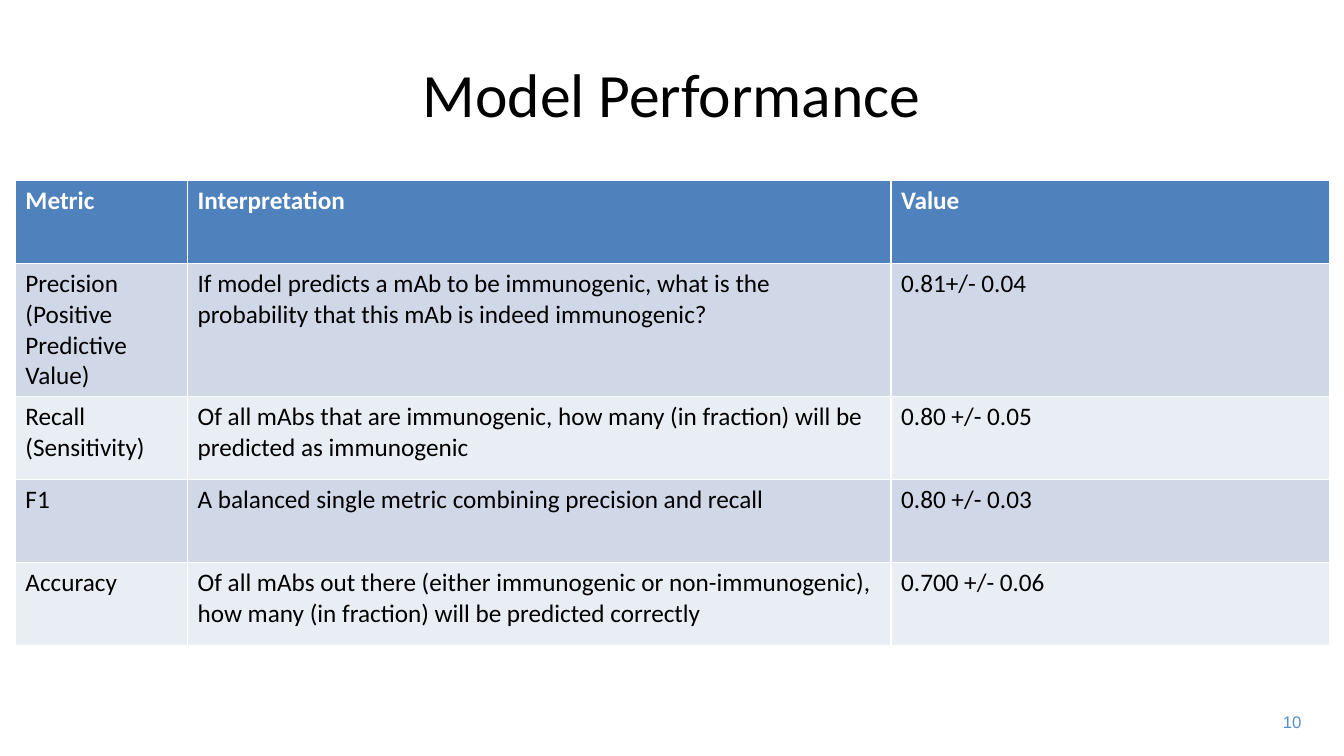
"""Build the Model Performance slide with its table of metrics."""
from pptx import Presentation
from pptx.dml.color import RGBColor
from pptx.enum.text import MSO_ANCHOR, PP_ALIGN
from pptx.util import Pt

BLACK = RGBColor(0x00, 0x00, 0x00)
WHITE = RGBColor(0xFF, 0xFF, 0xFF)
HEADER_BLUE = RGBColor(0x4F, 0x81, 0xBD)
BAND_DARK = RGBColor(0xD0, 0xD8, 0xE8)
BAND_LIGHT = RGBColor(0xE9, 0xED, 0xF4)
NUMBER_BLUE = RGBColor(0x55, 0x8E, 0xD5)

COLUMN_WIDTHS = [123, 502.5, 313.2]
ROW_HEIGHT = 59.3
ROWS = [
    ("Metric", "Interpretation", "Value"),
    ("Precision (Positive Predictive Value)",
     "If model predicts a mAb to be immunogenic, what is the probability "
     "that this mAb is indeed immunogenic?",
     "0.81+/- 0.04"),
    ("Recall (Sensitivity)",
     "Of all mAbs that are immunogenic, how many (in fraction) will be "
     "predicted as immunogenic",
     "0.80 +/- 0.05"),
    ("F1",
     "A balanced single metric combining precision and recall",
     "0.80 +/- 0.03"),
    ("Accuracy",
     "Of all mAbs out there (either immunogenic or non-immunogenic), "
     "how many (in fraction) will be predicted correctly",
     "0.700 +/- 0.06"),
]


def write(text_frame, text, size, color, font_name="Calibri", bold=False):
    text_frame.text = text
    font = text_frame.paragraphs[0].runs[0].font
    font.name = font_name
    font.size = Pt(size)
    font.bold = bold
    font.color.rgb = color


presentation = Presentation()
presentation.slide_width = Pt(960)
presentation.slide_height = Pt(540)
slide = presentation.slides.add_slide(presentation.slide_layouts[5])

title = slide.shapes.title
title.left, title.top, title.width, title.height = Pt(48), Pt(21.6), Pt(864), Pt(90)
write(title.text_frame, "Model Performance", 44, BLACK)
title.text_frame.vertical_anchor = MSO_ANCHOR.MIDDLE
title.text_frame.paragraphs[0].alignment = PP_ALIGN.CENTER

table = slide.shapes.add_table(
    len(ROWS), len(COLUMN_WIDTHS), Pt(11), Pt(129),
    Pt(sum(COLUMN_WIDTHS)), Pt(ROW_HEIGHT * len(ROWS))).table
for column, width in zip(table.columns, COLUMN_WIDTHS):
    column.width = Pt(width)

for row_index, texts in enumerate(ROWS):
    table.rows[row_index].height = Pt(ROW_HEIGHT)
    is_header = row_index == 0
    band = BAND_DARK if row_index % 2 else BAND_LIGHT
    for column_index, text in enumerate(texts):
        cell = table.cell(row_index, column_index)
        cell.fill.solid()
        cell.fill.fore_color.rgb = HEADER_BLUE if is_header else band
        write(cell.text_frame, text, 18, WHITE if is_header else BLACK, bold=is_header)

page_number = slide.shapes.add_textbox(Pt(907.2), Pt(504.7), Pt(29.5), Pt(21.6))
page_number.text_frame.word_wrap = False
write(page_number.text_frame, "10", 12, NUMBER_BLUE, "Arial")
page_number.text_frame.paragraphs[0].alignment = PP_ALIGN.RIGHT

presentation.save("out.pptx")
